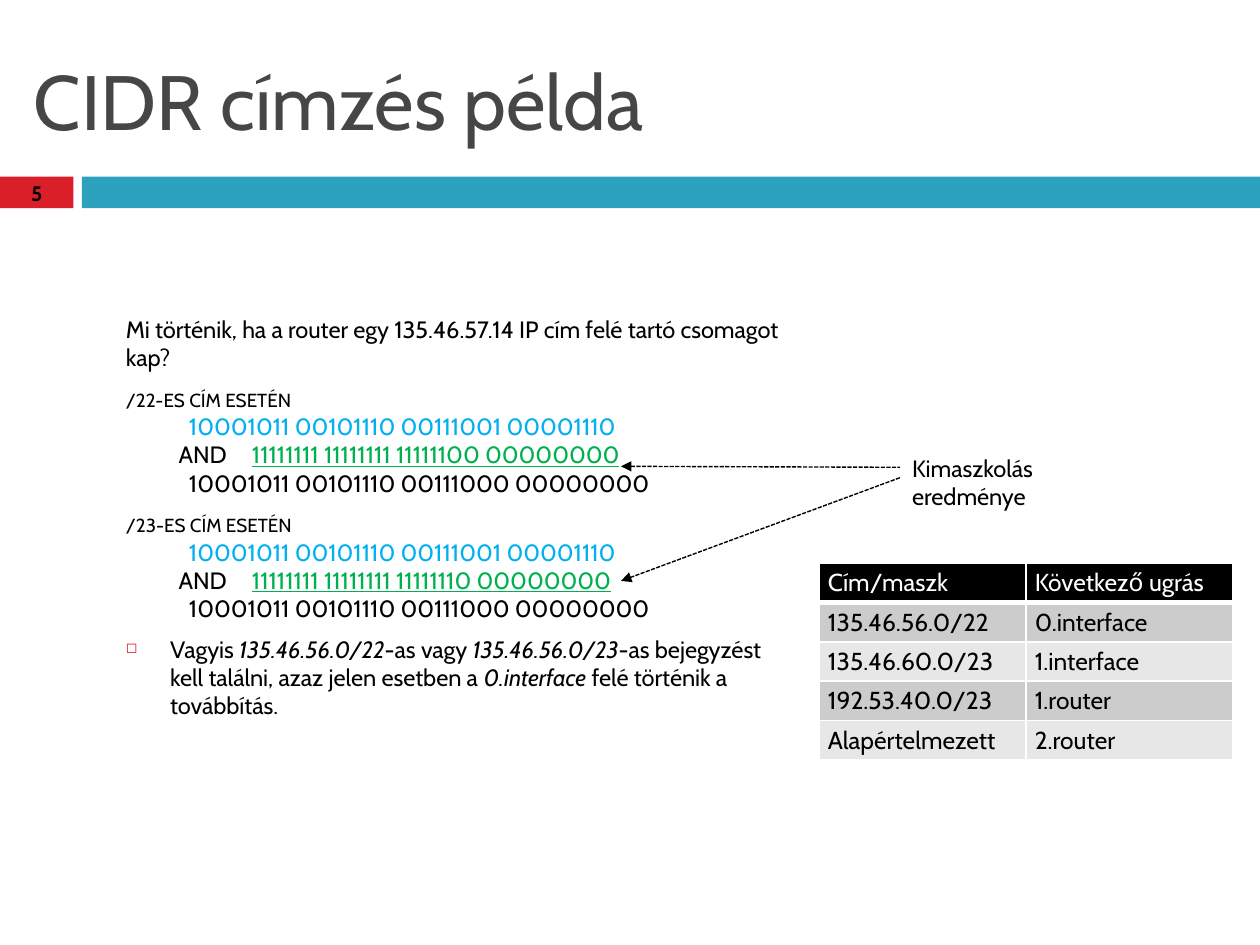
import pptx
import pptx.chart.data
import pptx.dml.color
import pptx.enum.dml
import pptx.enum.shapes
import pptx.enum.text
import pptx.oxml
import pptx.oxml.ns
import pptx.util
from pptx.util import Cm

RGBColor = pptx.dml.color.RGBColor
BLACK = RGBColor(0x00, 0x00, 0x00)
WHITE = RGBColor(0xFF, 0xFF, 0xFF)
RED = RGBColor(0xDA, 0x1F, 0x28)
TEAL = RGBColor(0x2D, 0xA2, 0xBF)
GREY = RGBColor(0x46, 0x46, 0x46)
BLUE = RGBColor(0x00, 0xB0, 0xF0)
GREEN = RGBColor(0x00, 0xB0, 0x50)
DARK_BAND = RGBColor(0xCC, 0xCC, 0xCC)
LIGHT_BAND = RGBColor(0xE7, 0xE7, 0xE7)
DRAWING = pptx.oxml.ns.nsdecls("a")
MIDDLE = pptx.enum.text.MSO_ANCHOR.MIDDLE


def write(paragraph, text, size=13.5, color=BLACK, bold=None, italic=None,
          underline=None, small_caps=False):
    run = paragraph.add_run()
    run.text = text
    run.font.name = "Cabin"
    run.font.size = pptx.util.Pt(size)
    run.font.color.rgb = color
    run.font.bold = bold
    run.font.italic = italic
    run.font.underline = underline
    if small_caps:
        run.font._element.set("cap", "small")


def add_frame(left, top, width, height, anchor=pptx.enum.text.MSO_ANCHOR.TOP):
    frame = slide.shapes.add_textbox(Cm(left), Cm(top), Cm(width), Cm(height)).text_frame
    frame.word_wrap = True
    frame.vertical_anchor = anchor
    return frame


deck = pptx.Presentation()
deck.slide_width, deck.slide_height = Cm(25.4), Cm(19.05)
slide = deck.slides.add_slide(deck.slide_layouts[6])

for left, width, color in [(0, 1.48, RED), (1.65, 23.75, TEAL)]:
    band = slide.shapes.add_shape(
        pptx.enum.shapes.MSO_SHAPE.RECTANGLE, Cm(left), Cm(3.56), Cm(width), Cm(0.64))
    band.shadow.inherit = False
    band.fill.solid()
    band.fill.fore_color.rgb = color
    band.line.fill.background()

title = add_frame(0.43, 0.64, 24.56, 2.74, MIDDLE)
write(title.paragraphs[0], "CIDR címzés példa", size=44, color=GREY)

body = add_frame(2.29, 6.22, 13.97, 9.4)
question = body.paragraphs[0]
question.space_before = pptx.util.Pt(7)
write(question, "Mi történik, ha a router egy 135.46.57.14 IP cím felé tartó csomagot kap?")

address = "10001011 00101110 00111001 00001110"
masked = "10001011 00101110 00111000 00000000"
masks = [("/22-es cím esetén", "11111111 11111111 11111100 00000000"),
         ("/23-es cím esetén", "11111111 11111111 11111110 00000000")]
for heading, mask in masks:
    case = body.add_paragraph()
    case.space_before = pptx.util.Pt(7)
    write(case, heading, small_caps=True)
    for label, bits, color, indent, tab in [
            ("", address, BLUE, 0, 2.54),
            ("AND", mask, GREEN, 1.06, 2.24),
            ("", masked, BLACK, 0, 2.54)]:
        row = body.add_paragraph()
        properties = row._p.get_or_add_pPr()
        properties.set("marL", "0")
        properties.set("indent", str(Cm(indent)))
        properties.append(pptx.oxml.parse_xml(
            f'<a:tabLst {DRAWING}><a:tab pos="{Cm(tab)}" algn="l"/></a:tabLst>'))
        write(row, label + "\t")
        write(row, bits, color=color, underline=True if label else None)

conclusion = body.add_paragraph()
conclusion.space_before = pptx.util.Pt(7)
properties = conclusion._p.get_or_add_pPr()
properties.set("marL", str(Cm(0.89)))
properties.set("indent", str(-Cm(0.89)))
for bullet in [f'<a:buClr {DRAWING}><a:srgbClr val="{RED}"/></a:buClr>',
               f'<a:buSzPct {DRAWING} val="60000"/>',
               f'<a:buChar {DRAWING} char="◻"/>']:
    properties.append(pptx.oxml.parse_xml(bullet))
for text, italic in [("Vagyis ", False), ("135.46.56.0/22", True),
                     ("-as vagy ", False), ("135.46.56.0/23", True),
                     ("-as bejegyzést kell találni, azaz jelen esetben a ", False),
                     ("0.interface", True), (" felé történik a továbbítás.", False)]:
    write(conclusion, text, italic=italic)

routes = [("Cím/maszk", "Következő ugrás"),
          ("135.46.56.0/22", "0.interface"),
          ("135.46.60.0/23", "1.interface"),
          ("192.53.40.0/23", "1.router"),
          ("Alapértelmezett", "2.router")]
routing = slide.shapes.add_table(
    len(routes), 2, Cm(16.51), Cm(11.35), Cm(8.34), Cm(3.9)).table
for column in routing.columns:
    column.width = Cm(4.17)
for r, route in enumerate(routes):
    routing.rows[r].height = Cm(0.78)
    for c, text in enumerate(route):
        cell = routing.cell(r, c)
        cell.margin_left = cell.margin_right = Cm(0.18)
        cell.margin_top = cell.margin_bottom = Cm(0.1)
        for side in "LRTB":
            weight = pptx.util.Pt(3 if r == 0 and side == "B" else 1)
            cell._tc.get_or_add_tcPr().append(pptx.oxml.parse_xml(
                f'<a:ln{side} {DRAWING} w="{weight}"><a:solidFill>'
                f'<a:srgbClr val="{WHITE}"/></a:solidFill></a:ln{side}>'))
        cell.fill.solid()
        cell.fill.fore_color.rgb = BLACK if r == 0 else DARK_BAND if r % 2 else LIGHT_BAND
        write(cell.text_frame.paragraphs[0], text, size=14, color=BLACK if r else WHITE)

for tip, tail in [(9.4, 9.42), (11.71, 9.63)]:
    arrow = slide.shapes.add_connector(
        pptx.enum.shapes.MSO_CONNECTOR.STRAIGHT, Cm(12.52), Cm(tip), Cm(18.14), Cm(tail))
    arrow.line.color.rgb = BLACK
    arrow.line.width = pptx.util.Pt(0.79)
    arrow.line.dash_style = pptx.enum.dml.MSO_LINE.SQUARE_DOT
    arrow.line._get_or_add_ln().append(
        pptx.oxml.parse_xml(f'<a:headEnd {DRAWING} type="triangle"/>'))
    arrow._element.spPr.append(pptx.oxml.parse_xml(f"<a:effectLst {DRAWING}/>"))

result = add_frame(18.14, 9.02, 5.11, 0.84)
write(result.paragraphs[0], "Kimaszkolás eredménye")

page = add_frame(0, 3.48, 1.48, 0.84, MIDDLE)
page.margin_left = page.margin_right = Cm(0.18)
page.margin_top = page.margin_bottom = Cm(0.1)
page.paragraphs[0].alignment = pptx.enum.text.PP_ALIGN.CENTER
write(page.paragraphs[0], "5", size=12, bold=True)

deck.save("out.pptx")
